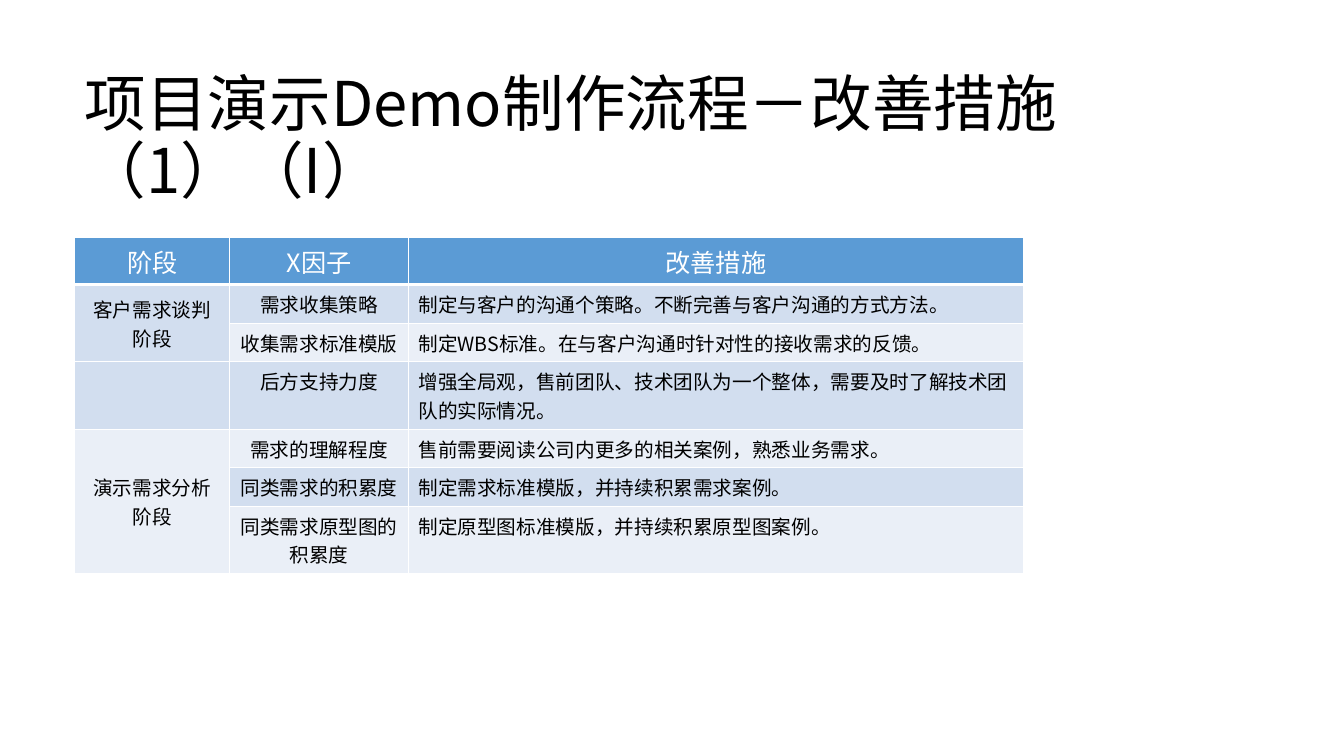
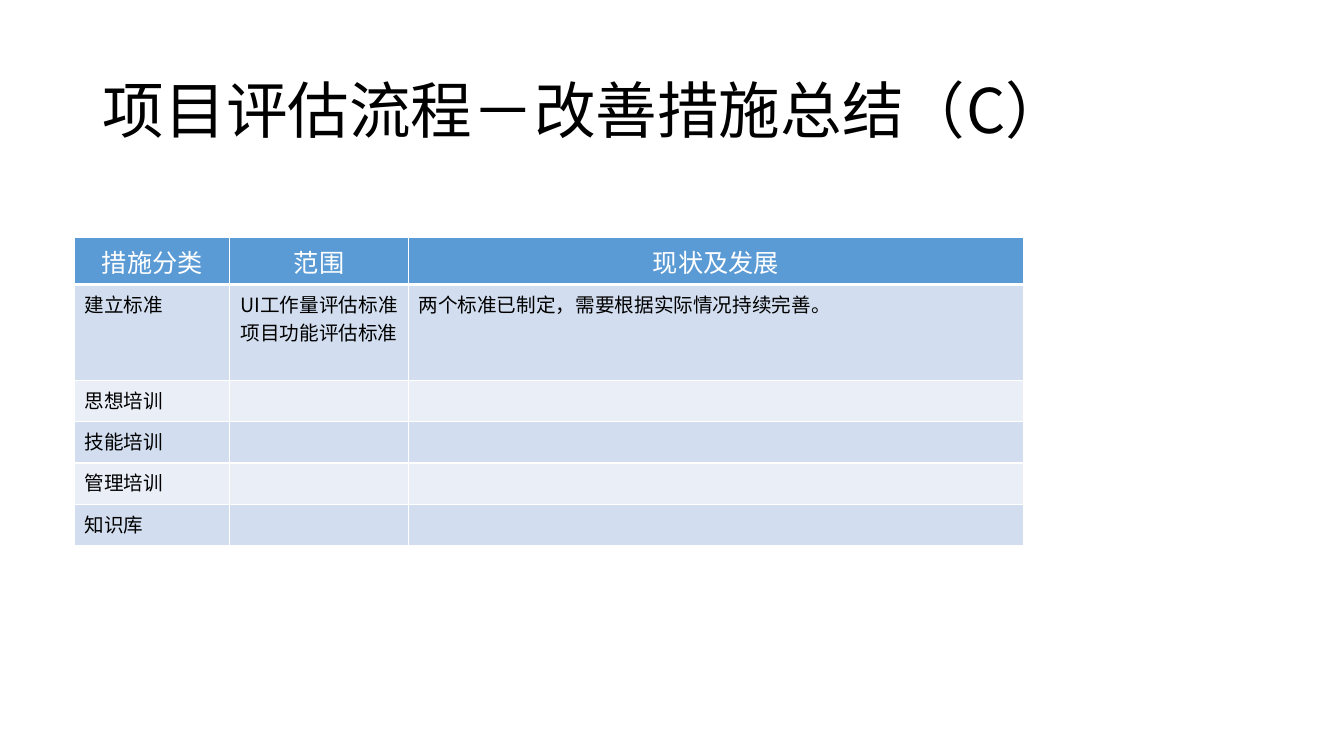
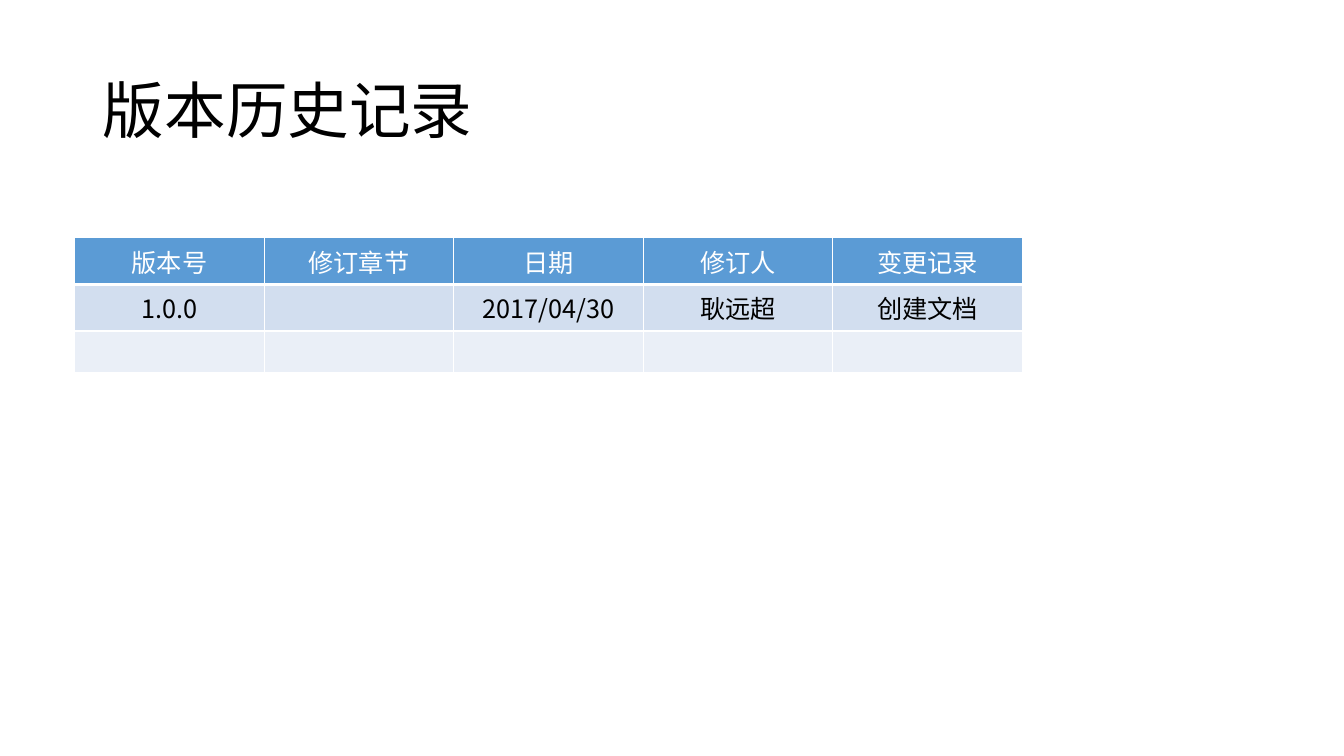
import dataclasses

import pptx
import pptx.dml.color
import pptx.enum.text
import pptx.oxml.ns
import pptx.util
from lxml import etree

Inches = pptx.util.Inches
Pt = pptx.util.Pt
ALIGN = pptx.enum.text.PP_ALIGN
ANCHOR = pptx.enum.text.MSO_ANCHOR
qn = pptx.oxml.ns.qn


@dataclasses.dataclass(frozen=True)
class Theme:
    font: str = "Noto Sans CJK SC"
    text: str = "000000"
    on_header: str = "FFFFFF"
    header: str = "5B9BD5"
    bands: tuple = ("D2DEEF", "EAEFF7")
    border: str = "FFFFFF"
    border_pt: int = 1
    header_rule_pt: int = 3
    title_pt: int = 44
    header_pt: int = 18
    body_pt: int = 14


THEME = Theme()
TITLE_BOX = (0.92, 0.4, 11.5, 1.45)
TABLE_LEFT, TABLE_TOP = 0.74, 2.36
THREE_COLS = (1.54, 1.77, 6.1)
FIVE_COLS = (1.88,) * 5


def rgb(color):
    return pptx.dml.color.RGBColor.from_string(color)


def set_attrs(obj, values):
    for name, value in values.items():
        setattr(obj, name, value)


def write_paragraph(p, text, size, color, align):
    """Fill one paragraph; an empty one still keeps its type size."""
    p.alignment = align
    if not text:
        etree.SubElement(p._p, qn("a:endParaRPr"), sz=str(size * 100))
        return
    r = p.add_run()
    r.text = text
    set_attrs(r.font, {"name": THEME.font, "size": Pt(size), "bold": False})
    r.font.color.rgb = rgb(color)
    latin = r.font._element.find(qn("a:latin"))
    latin.addnext(latin.makeelement(qn("a:ea"), {"typeface": THEME.font}))


def add_title(slide, text, box):
    sp = slide.shapes.title
    set_attrs(sp, dict(zip(("left", "top", "width", "height"), map(Inches, box))))
    tf = sp.text_frame
    set_attrs(tf, {"word_wrap": True, "vertical_anchor": ANCHOR.MIDDLE,
                   "auto_size": pptx.enum.text.MSO_AUTO_SIZE.NONE})
    p = tf.paragraphs[0]
    p.line_spacing = 0.9
    write_paragraph(p, text, THEME.title_pt, THEME.text, ALIGN.LEFT)


def set_borders(cell, bottom_pt):
    """Draw the four cell edges; call before the fill, which must follow them."""
    tc_pr = cell._tc.get_or_add_tcPr()
    for side in "LRTB":
        width = bottom_pt if side == "B" else THEME.border_pt
        ln = etree.SubElement(tc_pr, qn(f"a:ln{side}"), w=str(Pt(width)))
        fill = etree.SubElement(ln, qn("a:solidFill"))
        etree.SubElement(fill, qn("a:srgbClr"), val=THEME.border)


def style_cell(cell, text, fill, size, color, align, bottom_pt):
    set_borders(cell, bottom_pt)
    cell.fill.solid()
    cell.fill.fore_color.rgb = rgb(fill)
    tf = cell.text_frame
    for i, line in enumerate(text.split("\n")):
        p = tf.add_paragraph() if i else tf.paragraphs[0]
        write_paragraph(p, line, size, color, align)


def add_banded_table(slide, rows, cols, row_heights, height, aligns,
                     body_pt=THEME.body_pt, middle_cols=(), merges=()):
    """Merges are (column, first row, last row)."""
    frame = slide.shapes.add_table(len(rows), len(cols), Inches(TABLE_LEFT),
                                   Inches(TABLE_TOP), Inches(sum(cols)), Inches(height))
    table = frame.table
    table.horz_banding = False
    for column, width in zip(table.columns, cols):
        column.width = Inches(width)
    for row, row_height in zip(table.rows, row_heights):
        row.height = Inches(row_height)
    frame.height = Inches(height)

    for i, row in enumerate(rows):
        for j, text in enumerate(row):
            cell = table.cell(i, j)
            if i == 0:
                style_cell(cell, text, THEME.header, THEME.header_pt, THEME.on_header,
                           ALIGN.CENTER, THEME.header_rule_pt)
            else:
                style_cell(cell, text, THEME.bands[(i - 1) % 2], body_pt, THEME.text,
                           aligns[j], THEME.border_pt)
            if j in middle_cols:
                cell.vertical_anchor = ANCHOR.MIDDLE
    for col, first, last in merges:
        table.cell(first, col).merge(table.cell(last, col))


def add_table_slide(prs, title, rows, title_box=TITLE_BOX, **table_format):
    slide = prs.slides.add_slide(prs.slide_layouts[5])
    add_title(slide, title, title_box)
    add_banded_table(slide, rows, **table_format)


MEASURES = [
    ("阶段", "X因子", "改善措施"),
    ("客户需求谈判阶段", "需求收集策略", "制定与客户的沟通个策略。不断完善与客户沟通的方式方法。"),
    ("", "收集需求标准模版", "制定WBS标准。在与客户沟通时针对性的接收需求的反馈。"),
    ("", "后方支持力度",
     "增强全局观，售前团队、技术团队为一个整体，需要及时了解技术团队的实际情况。"),
    ("演示需求分析阶段", "需求的理解程度", "售前需要阅读公司内更多的相关案例，熟悉业务需求。"),
    ("", "同类需求的积累度", "制定需求标准模版，并持续积累需求案例。"),
    ("", "同类需求原型图的积累度", "制定原型图标准模版，并持续积累原型图案例。"),
]

SUMMARY = [
    ("措施分类", "范围", "现状及发展"),
    ("建立标准", "UI工作量评估标准\n项目功能评估标准",
     "两个标准已制定，需要根据实际情况持续完善。"),
    ("思想培训", "", ""),
    ("技能培训", "", ""),
    ("管理培训", "", ""),
    ("知识库", "", ""),
]

HISTORY = [
    ("版本号", "修订章节", "日期", "修订人", "变更记录"),
    ("1.0.0", "", "2017/04/30", "耿远超", "创建文档"),
    ("",) * 5,
]


def main():
    prs = pptx.Presentation()
    set_attrs(prs, {"slide_width": Inches(13.33), "slide_height": Inches(7.5)})
    add_table_slide(prs, "项目演示Demo制作流程－改善措施（1）（I）", MEASURES,
                    title_box=(0.74, 0.67, 10.33, 1.44), cols=THREE_COLS,
                    row_heights=(0.15, 0.22, 0.22, 0.22, 0.22, 0.3, 0.22), height=2.87,
                    aligns=(ALIGN.CENTER, ALIGN.CENTER, ALIGN.LEFT),
                    middle_cols=(0,), merges=((0, 1, 2), (0, 4, 6)))
    add_table_slide(prs, "项目评估流程－改善措施总结（C）", SUMMARY, cols=THREE_COLS,
                    row_heights=(0.41,) * len(SUMMARY), height=2.59,
                    aligns=(ALIGN.LEFT, ALIGN.CENTER, ALIGN.LEFT))
    add_table_slide(prs, "版本历史记录", HISTORY, cols=FIVE_COLS,
                    row_heights=(0.41,) * len(HISTORY), height=1.22,
                    aligns=(ALIGN.CENTER,) * 5, body_pt=THEME.header_pt,
                    middle_cols=range(5))
    prs.save("out.pptx")


if __name__ == "__main__":
    main()
